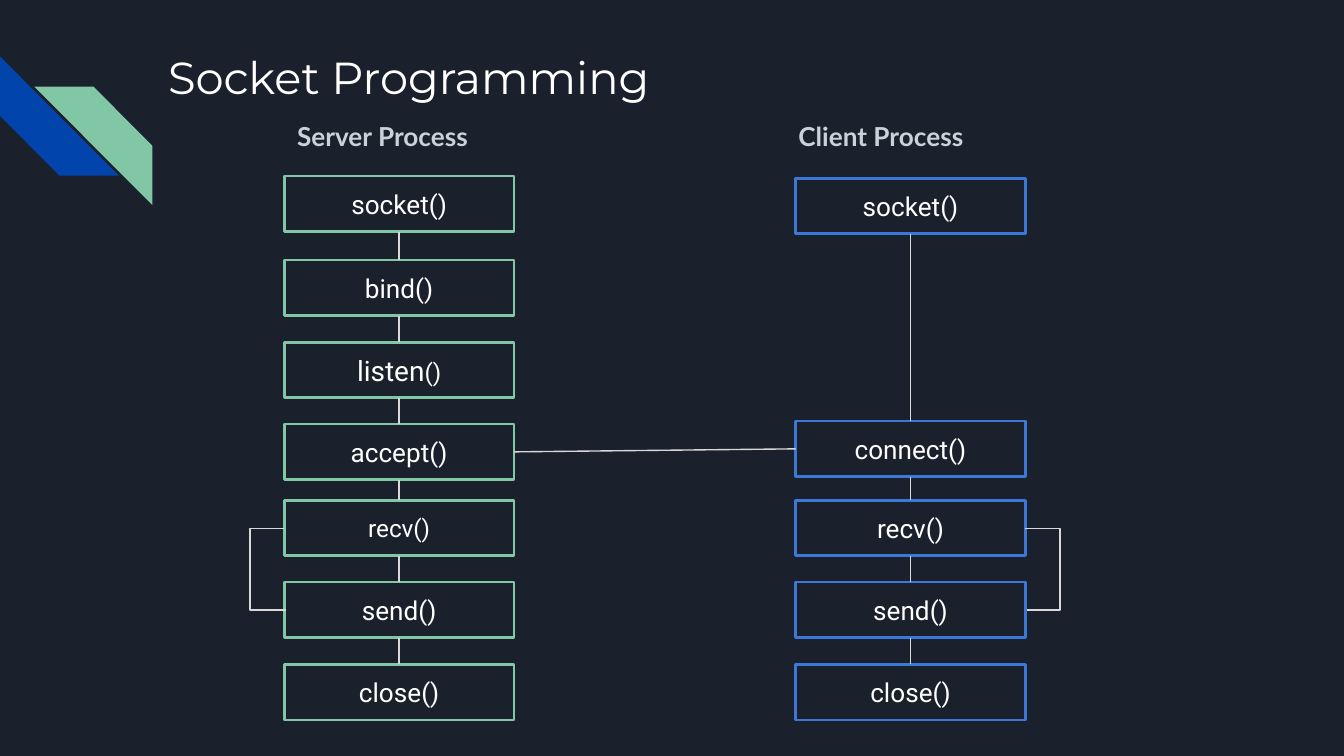
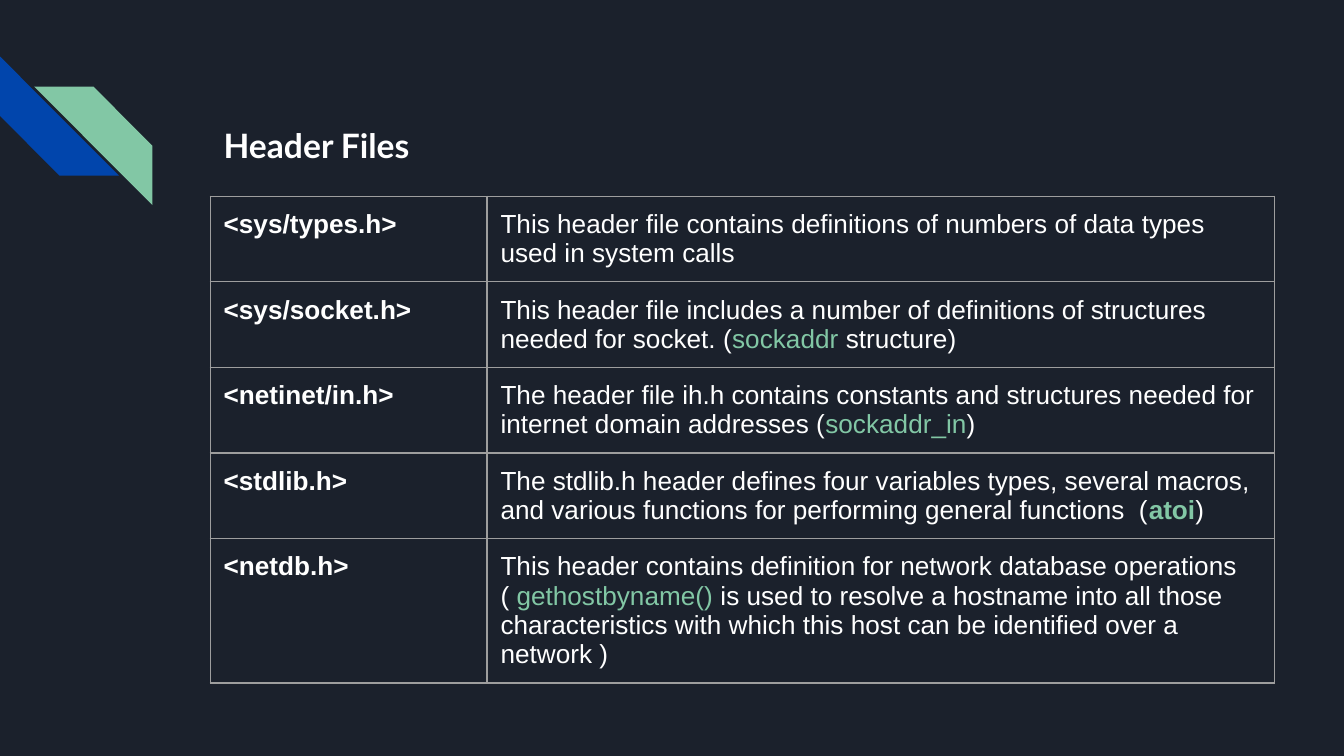
import dataclasses
import itertools
import typing

import lxml.etree
import pptx
import pptx.dml.color
import pptx.enum.shapes
import pptx.enum.text
import pptx.oxml.ns
import pptx.util

NIGHT, WHITE, MIST = "1B212C", "FFFFFF", "C9D1D9"
MINT, COBALT, AZURE = "82C7A5", "0145AC", "3C78D8"
WIRE, RULE = "D9D9D9", "9E9E9E"

SHAPE = pptx.enum.shapes.MSO_SHAPE
LINK = pptx.enum.shapes.MSO_CONNECTOR
FIT = pptx.enum.text.MSO_AUTO_SIZE
ANCHOR = pptx.enum.text.MSO_ANCHOR
ALIGN = pptx.enum.text.PP_ALIGN

deck = pptx.Presentation()
deck.slide_width = pptx.util.Inches(10)
deck.slide_height = pptx.util.Inches(5.625)
COL = deck.slide_width / 100
ROW = deck.slide_height / 100
INSET = pptx.util.Inches(0.1)
TRIM = pptx.util.Inches(0.015)
TOP, LEFT, BOTTOM, RIGHT = range(4)


@dataclasses.dataclass(frozen=True)
class Run:
    text: str
    size: float = 14
    font: str = "Arial"
    tint: str = WHITE
    bold: bool = False


@dataclasses.dataclass(frozen=True)
class Area:
    col: float
    row: float
    wide: float
    high: float

    def place(self) -> tuple:
        return (across(self.col), down(self.row),
                across(self.wide), down(self.high))


@dataclasses.dataclass(frozen=True)
class Call:
    row: float
    runs: tuple


@dataclasses.dataclass(frozen=True)
class Lane:
    name: str
    name_col: float
    col: float
    tint: str
    loop: float
    calls: tuple


@dataclasses.dataclass(frozen=True)
class Stripe:
    area: Area
    tint: str
    turn: float = 0
    flip: bool = False


Lines = typing.Sequence[typing.Sequence[Run]]


def across(cols: float) -> int:
    return pptx.util.Emu(round(cols * COL))


def down(rows: float) -> int:
    return pptx.util.Emu(round(rows * ROW))


def paint(tint: str) -> pptx.dml.color.RGBColor:
    return pptx.dml.color.RGBColor.from_string(tint)


def write(frame, lines: Lines, align=ALIGN.LEFT) -> None:
    for index, runs in enumerate(lines):
        para = frame.add_paragraph() if index else frame.paragraphs[0]
        para.alignment = align
        for run in runs:
            part = para.add_run()
            part.text = run.text
            part.font.size = pptx.util.Pt(run.size)
            part.font.name = run.font
            part.font.bold = run.bold
            part.font.color.rgb = paint(run.tint)


def set_frame(frame, anchor=ANCHOR.TOP, fit=FIT.NONE) -> None:
    frame.word_wrap = True
    frame.auto_size = fit
    frame.vertical_anchor = anchor
    pad(frame)


def pad(holder) -> None:
    holder.margin_left = holder.margin_right = INSET
    holder.margin_top = holder.margin_bottom = INSET


def add_page(title: Run, area: Area, fit=FIT.NONE):
    page = deck.slides.add_slide(deck.slide_layouts[5])
    head = page.shapes.title
    head.left, head.top, head.width, head.height = area.place()
    set_frame(head.text_frame, fit=fit)
    write(head.text_frame, [[title]])
    return page


def add_stripes(page, stripes: typing.Sequence[Stripe]) -> None:
    master = deck.slide_master
    master.background.fill.solid()
    master.background.fill.fore_color.rgb = paint(NIGHT)
    for index, stripe in enumerate(stripes):
        shape = page.shapes.add_shape(SHAPE.DIAGONAL_STRIPE, *stripe.area.place())
        shape.adjustments[0] = 0.5
        shape.rotation = stripe.turn
        shape.shadow.inherit = False
        shape.fill.solid()
        shape.fill.fore_color.rgb = paint(stripe.tint)
        shape.line.fill.background()
        if stripe.flip:
            shape.element.spPr.xfrm.set("flipH", "1")
        shape.element.nvSpPr.cNvPr.set("id", str(100 + index))
        master.shapes.element.insert(2 + index, shape.element)


def add_box(page, area: Area, call: Call, tint: str):
    box = page.shapes.add_shape(SHAPE.RECTANGLE, *area.place())
    box.shadow.inherit = False
    box.fill.background()
    box.line.color.rgb = paint(tint)
    box.line.width = pptx.util.Pt(1.5)
    set_frame(box.text_frame, ANCHOR.MIDDLE)
    write(box.text_frame, [call.runs], ALIGN.CENTER)
    return box


def add_wire(page, kind, start: tuple, end: tuple):
    wire = page.shapes.add_connector(kind, *start, *end)
    wire.line.color.rgb = paint(WIRE)
    wire.line.width = pptx.util.Pt(0.75)
    lxml.etree.SubElement(wire.element.spPr, pptx.oxml.ns.qn("a:effectLst"))
    return wire


def join(page, first, side: int, second, other: int) -> None:
    wire = add_wire(page, LINK.STRAIGHT, (0, 0), (0, 0))
    wire.begin_connect(first, side)
    wire.end_connect(second, other)


def add_loop(page, first, second, reach: float) -> None:
    edge = first.left + (first.width if reach > 0 else 0)
    span = across(0.1)
    start, end = [(edge + shift, box.top + box.height // 2)
                  for box, shift in ((first, 0), (second, span))]
    wire = add_wire(page, LINK.ELBOW, start, end)
    guides = wire.element.spPr.find(".//" + pptx.oxml.ns.qn("a:avLst"))
    guide = lxml.etree.SubElement(guides, pptx.oxml.ns.qn("a:gd"))
    guide.set("name", "adj1")
    guide.set("fmla", f"val {round(reach * COL / span * 100000)}")


def add_lane(page, lane: Lane) -> list:
    name = page.shapes.add_textbox(*Area(lane.name_col, 14.1, 21.7, 7.8).place())
    set_frame(name.text_frame, fit=FIT.SHAPE_TO_FIT_TEXT)
    write(name.text_frame, [[Run(lane.name, 14, "Lato", MIST, True)]])
    boxes = [add_box(page, Area(lane.col, call.row, 17.1, 7.35), call, lane.tint)
             for call in lane.calls]
    for upper, lower in itertools.pairwise(boxes):
        join(page, upper, BOTTOM, lower, TOP)
    add_loop(page, boxes[-3], boxes[-2], lane.loop)
    return boxes


def rule_cell(cell) -> None:
    cell.fill.background()
    props = cell._tc.get_or_add_tcPr()
    for index, side in enumerate(("lnL", "lnR", "lnT", "lnB")):
        line = lxml.etree.Element(pptx.oxml.ns.qn("a:" + side))
        line.set("w", str(pptx.util.Pt(0.75)))
        fill = lxml.etree.SubElement(line, pptx.oxml.ns.qn("a:solidFill"))
        lxml.etree.SubElement(fill, pptx.oxml.ns.qn("a:srgbClr")).set("val", RULE)
        props.insert(index, line)


def add_grid(page, area: Area, widths: tuple, rows: typing.Sequence) -> None:
    frame = page.shapes.add_table(len(rows), len(widths), *area.place())
    grid = frame.table
    grid.first_row = grid.horz_banding = False
    for column, width in zip(grid.columns, widths):
        column.width = across(width)
    for line, (name, notes) in zip(grid.rows, rows):
        texts = ([[Run(name, bold=True)]], notes)
        for cell, lines in zip(line.cells, texts):
            pad(cell)
            cell.margin_bottom = INSET - TRIM * (len(notes) + 1)
            rule_cell(cell)
            write(cell.text_frame, lines)


def call(row: float, text: str, size: float = 14) -> Call:
    return Call(row, (Run(text, size, "Roboto"),))


def term(text: str, bold: bool = False) -> Run:
    return Run(text, tint=MINT, bold=bold)


STRIPES = (
    Stripe(Area(0, 7.5, 8.85, 15.7), COBALT, turn=270),
    Stripe(Area(2.55, 11.45, 8.8, 15.7), MINT, flip=True),
)

SERVER = Lane("Server Process", 21.12, 21.15, MINT, -2.6, (
    call(23.3, "socket()"),
    call(34.4, "bind()"),
    Call(45.3, (Run("listen", 15, "Roboto"), Run("()", 13, "Roboto"))),
    call(56.1, "accept()"),
    call(66.2, "recv()", 13),
    call(77, "send()"),
    call(87.9, "close()"),
))

CLIENT = Lane("Client Process", 58.42, 59.2, AZURE, 2.6, (
    call(23.6, "socket()"),
    call(55.7, "connect()"),
    call(66.2, "recv()"),
    call(77, "send()"),
    call(87.9, "close()"),
))

HEADERS = (
    ("<sys/types.h>", [[Run(
        "This header file contains definitions of numbers of data types "
        "used in system calls")]]),
    ("<sys/socket.h>", [[
        Run("This header file includes a number of definitions of structures "
            "needed for socket. ("),
        term("sockaddr "), Run("structure) ")]]),
    ("<netinet/in.h>", [[
        Run("The header file ih.h contains constants and structures needed for "
            "internet domain addresses ("),
        term("sockaddr_in"), Run(")")]]),
    ("<stdlib.h>", [[
        Run("The stdlib.h header defines four variables types, several macros, "
            "and various functions for performing general functions  ("),
        term("atoi", True), Run(")")]]),
    ("<netdb.h>", [
        [Run("This header contains definition for network database operations")],
        [Run("( "), term("gethostbyname() "),
         Run("is used to resolve a hostname into all those ")],
        [Run("characteristics with which this host can be identified over a "
             "network )")]]),
)

flow = add_page(Run("Socket Programming", 24, "Montserrat"),
                Area(11.5, 4.8, 77, 17.8))
add_stripes(flow, STRIPES)
server = add_lane(flow, SERVER)
client = add_lane(flow, CLIENT)
join(flow, server[3], RIGHT, client[1], LEFT)

files = add_page(Run("Header Files", 18, "Lato", bold=True),
                 Area(15.64, 14.8, 68.4, 8.9), FIT.SHAPE_TO_FIT_TEXT)
add_grid(files, Area(15.64, 25.95, 79.2, 37.5), (20.6, 58.6), HEADERS)

deck.save("out.pptx")
